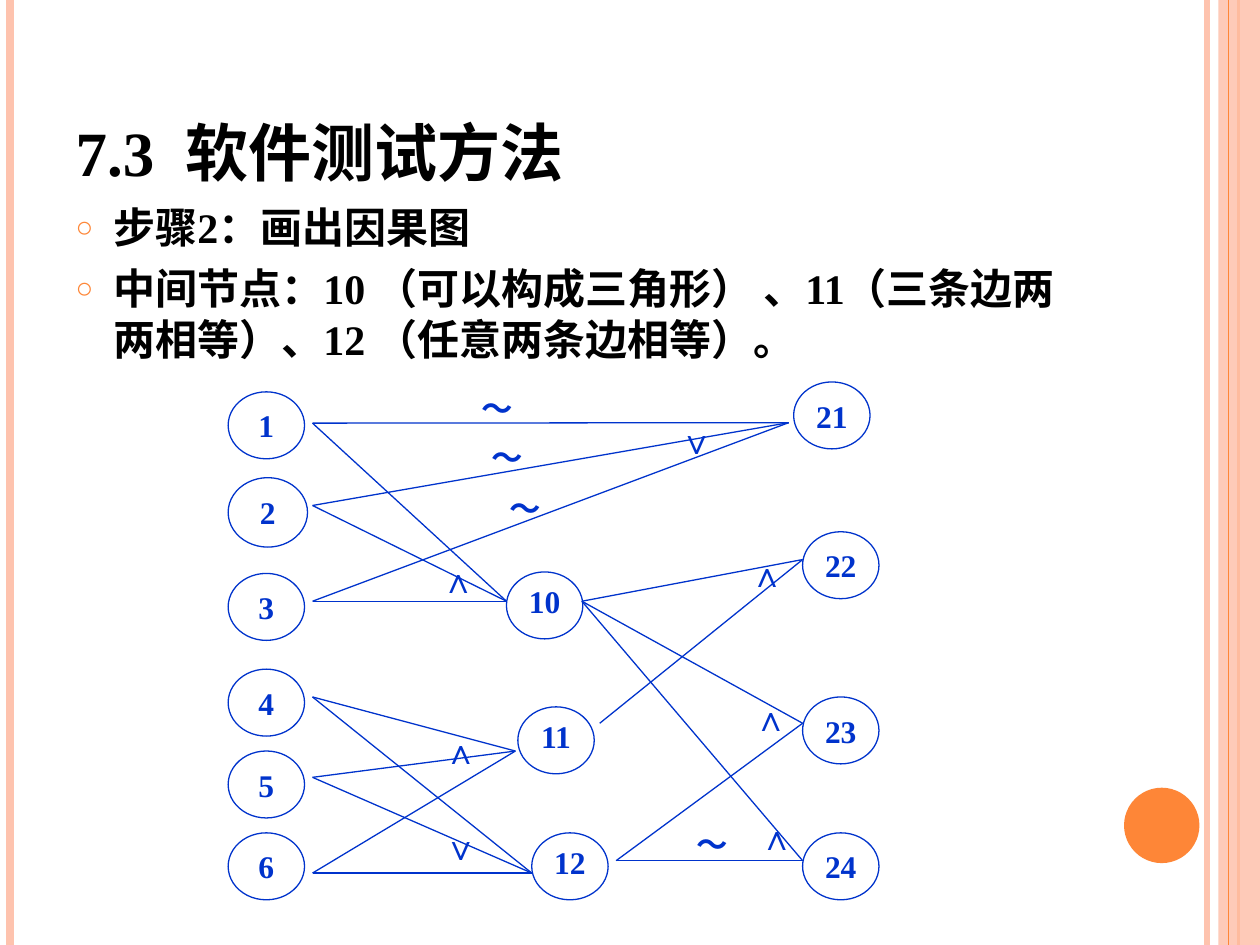
from lxml.etree import SubElement
from pptx import Presentation
from pptx.dml.color import RGBColor
from pptx.enum.shapes import MSO_CONNECTOR as Connector, MSO_SHAPE as Shape
from pptx.enum.text import MSO_ANCHOR as Anchor, MSO_AUTO_SIZE as AutoSize, PP_ALIGN as Align
from pptx.oxml.ns import qn
from pptx.util import Cm, Pt

BLACK = RGBColor(0x00, 0x00, 0x00)
WHITE = RGBColor(0xFF, 0xFF, 0xFF)
BLUE = RGBColor(0x00, 0x33, 0xCC)
ORANGE = RGBColor(0xFE, 0x86, 0x37)
PINK = RGBColor(0xFE, 0xC3, 0xAE)

presentation = Presentation()
presentation.slide_width = Cm(25.4)
presentation.slide_height = Cm(19.05)
slide = presentation.slides.add_slide(presentation.slide_layouts[1])
shapes = slide.shapes
title, body = slide.placeholders


def add_line(start, end, color, width):
    line = shapes.add_connector(Connector.STRAIGHT, *map(Cm, start + end))
    line.line.color.rgb = color
    line.line.width = Pt(width)
    SubElement(line._element.spPr, qn("a:effectLst"))


def format_font(paragraph, size, color):
    paragraph.font.name = "Times New Roman"
    paragraph.font.size = Pt(size)
    paragraph.font.bold = True
    paragraph.font.color.rgb = color


for x, color, width in [(24.33, PINK, 3), (0.2, PINK, 4.5), (24.97, ORANGE, 1.5)]:
    add_line((x, 0), (x, 19.05), color, width)

band = shapes.add_shape(Shape.RECTANGLE, Cm(24.56), Cm(0), Cm(0.84), Cm(19.05))
disc = shapes.add_shape(Shape.OVAL, Cm(22.66), Cm(15.88), Cm(1.52), Cm(1.52))
panel = shapes.add_shape(Shape.RECTANGLE, Cm(4.29), Cm(7.52), Cm(13.59), Cm(10.8))
for shape, color in [(band, PINK), (disc, ORANGE), (panel, WHITE)]:
    shape.shadow.inherit = False
    shape.fill.solid()
    shape.fill.fore_color.rgb = color
    shape.line.fill.background()
band_color = band._element.spPr.find(".//" + qn("a:srgbClr"))
SubElement(band_color, qn("a:alpha"), val="87000")
add_line((24.77, 0), (24.77, 19.05), ORANGE, 0.75)

title.left, title.top, title.width, title.height = Cm(1.27), Cm(0.76), Cm(20.75), Cm(3.18)
title.text = "7.3  软件测试方法"
title.text_frame.auto_size = AutoSize.NONE
title.text_frame.vertical_anchor = Anchor.BOTTOM
title.text_frame.paragraphs[0].alignment = Align.LEFT
format_font(title.text_frame.paragraphs[0], 36, BLACK)

body.left, body.top, body.width, body.height = Cm(1.27), Cm(3.94), Cm(21.03), Cm(14.05)
body.text = (
    "步骤2：画出因果图\n"
    "中间节点：10 （可以构成三角形） 、11（三条边两两相等）、12 （任意两条边相等）。"
)
body.text_frame.auto_size = AutoSize.NONE
for paragraph, space in zip(body.text_frame.paragraphs, [0, 6]):
    paragraph.space_before = Pt(space)
    properties = paragraph._p.get_or_add_pPr()
    properties.set("marL", str(Cm(0.76)))
    properties.set("indent", str(Cm(-0.76)))
    bullet_color = SubElement(properties, qn("a:buClr"))
    SubElement(bullet_color, qn("a:srgbClr"), val=str(ORANGE))
    SubElement(properties, qn("a:buSzPct"), val="70000")
    SubElement(properties, qn("a:buChar"), char="○")
    format_font(paragraph, 24, BLACK)

nodes = [
    ("1", 4.6, 7.9), ("2", 4.6, 9.63), ("3", 4.6, 11.56),
    ("4", 4.6, 13.49), ("5", 4.6, 15.14), ("6", 4.6, 16.79),
    ("10", 10.21, 11.53), ("11", 10.44, 14.25), ("12", 10.72, 16.79),
    ("21", 16, 7.7), ("22", 16.18, 10.72), ("23", 16.18, 14.05), ("24", 16.18, 16.79),
]
for label, x, y in nodes:
    width, height = (1.6, 1.4) if label == "2" else (1.54, 1.35)
    node = shapes.add_shape(Shape.OVAL, Cm(x), Cm(y), Cm(width), Cm(height))
    node.shadow.inherit = False
    node.fill.background()
    node.line.color.rgb = BLUE
    node.line.width = Pt(0.75)
    frame = node.text_frame
    frame.margin_left = frame.margin_top = frame.margin_right = frame.margin_bottom = 0
    frame.vertical_anchor = Anchor.TOP if label in ("10", "11", "12") else Anchor.MIDDLE
    frame.text = label
    paragraph = frame.paragraphs[0]
    paragraph.alignment = Align.CENTER
    paragraph.space_after = Pt(6)
    format_font(paragraph, 18, BLUE)

exits = {
    "1": (6.3, 8.53), "2": (6.3, 10.19), "3": (6.3, 12.12),
    "4": (6.3, 14.05), "5": (6.3, 15.67), "6": (6.3, 17.6),
    "10": (11.73, 12.12), "11": (12.09, 14.58), "12": (12.42, 17.35),
}
entries = {
    "10": (10.21, 12.12), "11": (10.39, 15.14), "12": (10.72, 17.6),
    "21": (15.9, 8.52), "22": (16.18, 11.28), "23": (16.18, 14.58), "24": (16.18, 17.35),
}
causes = {
    "10": ["1", "2", "3"], "11": ["4", "5", "6"], "12": ["4", "5", "6"],
    "21": ["1", "2", "3"], "22": ["10", "11"], "23": ["10", "12"], "24": ["10", "12"],
}
for effect, sources in causes.items():
    for source in sources:
        add_line(exits[source], entries[effect], BLUE, 0.75)

operators = {
    "～": [(9.45, 7.72), (9.65, 8.71), (10.03, 9.73), (13.79, 16.51)],
    "∧": [(8.64, 11.13), (8.69, 14.58), (14.86, 11.02), (14.94, 13.92), (15.06, 16.31)],
    "∨": [(8.69, 16.51), (13.44, 8.33)],
}
for symbol, positions in operators.items():
    width, height, size = (1.9, 1.12, 18) if symbol == "～" else (1.57, 1.3, 20)
    for x, y in positions:
        box = shapes.add_textbox(Cm(x), Cm(y), Cm(width), Cm(height))
        box.text_frame.word_wrap = True
        box.text_frame.text = symbol
        paragraph = box.text_frame.paragraphs[0]
        paragraph.alignment = Align.JUSTIFY
        format_font(paragraph, size, BLUE)

presentation.save("out.pptx")
